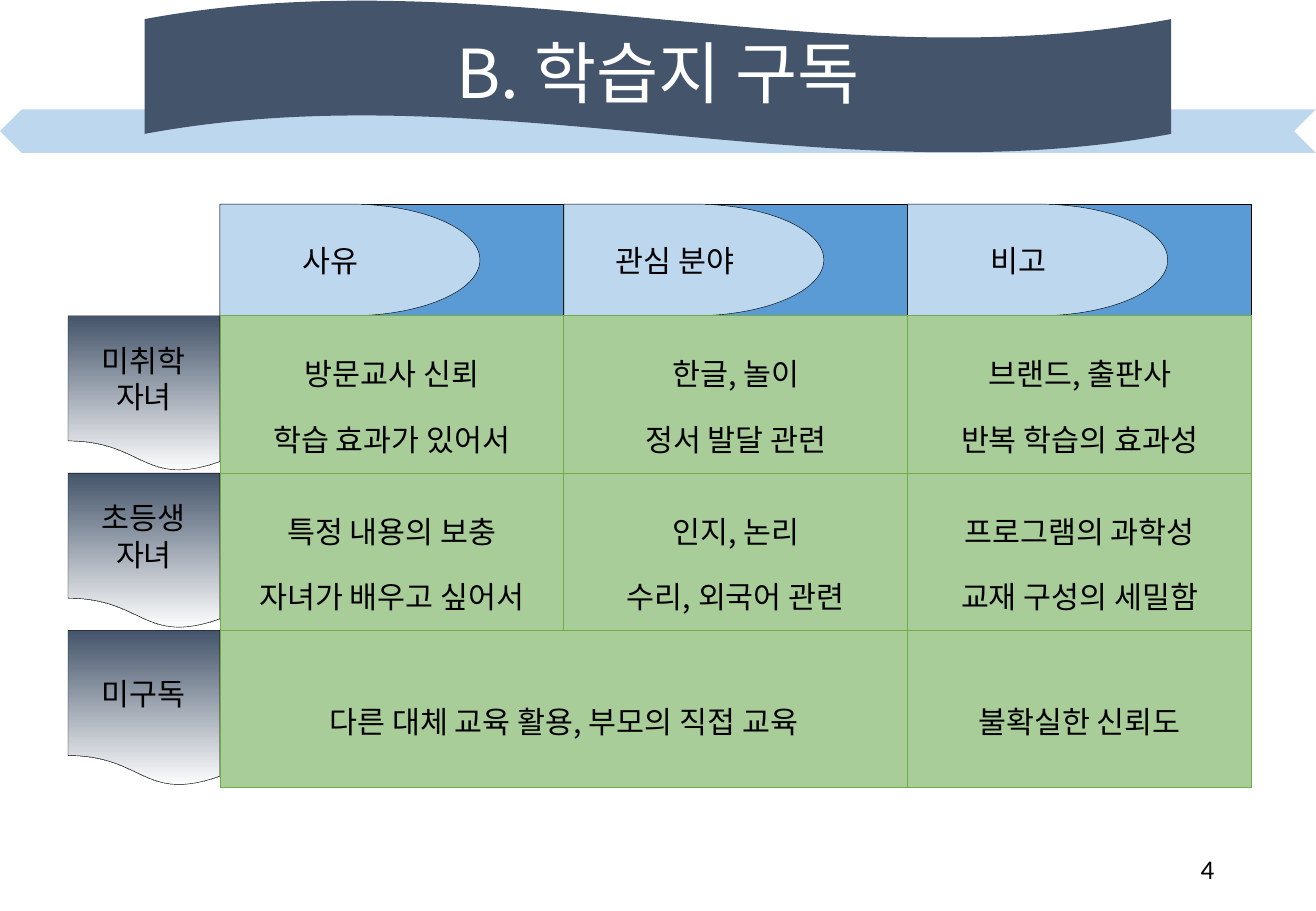
from pptx import Presentation
from pptx.dml.color import RGBColor
from pptx.enum.shapes import MSO_SHAPE
from pptx.enum.text import MSO_ANCHOR, PP_ALIGN
from pptx.oxml import parse_xml
from pptx.oxml.ns import nsdecls, qn
from pptx.util import Inches, Pt

WIDTH, HEIGHT = 10.83, 7.5
KOREAN, LATIN = "Noto Sans CJK KR", "Calibri"
NAVY, BLUE, PALE, BLACK, WHITE = "44546A", "5B9BD5", "BDD7EE", "000000", "FFFFFF"
GREEN, GREEN_LINE = "A9CD99", "70AD47"

# Grid of the table: header above, row labels to the left
LEFT, TOP = 1.81, 2.6
COL, ROW = 2.83, 1.295
HEADER_H, LABEL_W = 0.92, 1.25
BANNER_H = 1.26

HEADERS = ["사유", "관심 분야", "비고"]
LABELS = ["미취학\n자녀", "초등생\n자녀", "미구독"]
CELLS = [
    ["방문교사 신뢰\n학습 효과가 있어서", "한글, 놀이\n정서 발달 관련", "브랜드, 출판사\n반복 학습의 효과성"],
    ["특정 내용의 보충\n자녀가 배우고 싶어서", "인지, 논리\n수리, 외국어 관련", "프로그램의 과학성\n교재 구성의 세밀함"],
    ["다른 대체 교육 활용, 부모의 직접 교육", None, "불확실한 신뢰도"],
]


def rgb(value):
    return RGBColor.from_string(value)


def box(x, y, w, h):
    return [Inches(v) for v in (x, y, w, h)]


def write(tf, text, size=18, color=BLACK, font=KOREAN, align=PP_ALIGN.CENTER, spacing=1.0):
    tf.text = text
    tf.word_wrap = True
    for p in tf.paragraphs:
        p.alignment = align
        p.line_spacing = spacing
        for r in p.runs:
            r.font.size = Pt(size)
            r.font.name = font
            r.font.color.rgb = rgb(color)
            r._r.get_or_add_rPr().append(
                parse_xml(f'<a:ea {nsdecls("a")} typeface="{font}"/>'))


def add_text(slide, area, text, **style):
    tf = slide.shapes.add_textbox(*box(*area)).text_frame
    write(tf, text, **style)
    tf.vertical_anchor = MSO_ANCHOR.MIDDLE


def add_block(slide, kind, area, fill, outlined=True, flip=False, text=None):
    """Preset shape; a pair of colours as fill gives a vertical gradient."""
    s = slide.shapes.add_shape(kind, *box(*area))
    s.shadow.inherit = False
    if isinstance(fill, tuple):
        s.fill.gradient()
        s.fill.gradient_angle = 270
        for stop, color in zip(s.fill.gradient_stops, fill):
            stop.color.rgb = rgb(color)
    else:
        s.fill.solid()
        s.fill.fore_color.rgb = rgb(fill)
    if outlined:
        s.line.color.rgb = rgb(BLACK)
        s.line.width = Pt(0.25)
    else:
        s.line.fill.background()
    if flip:
        s._element.spPr.find(qn("a:xfrm")).set("flipH", "1")
    if text:
        write(s.text_frame, text)
        s.text_frame.vertical_anchor = MSO_ANCHOR.MIDDLE


def style_cell(cell):
    tcPr = cell._tc.get_or_add_tcPr()
    for side in ("lnL", "lnR", "lnT", "lnB"):
        tcPr.append(parse_xml(
            f'<a:{side} {nsdecls("a")} w="{Pt(0.5)}"><a:solidFill>'
            f'<a:srgbClr val="{GREEN_LINE}"/></a:solidFill></a:{side}>'))
    cell.fill.solid()
    cell.fill.fore_color.rgb = rgb(GREEN)
    cell.vertical_anchor = MSO_ANCHOR.MIDDLE


def add_grid(slide):
    rows, cols = len(CELLS), len(HEADERS)
    table = slide.shapes.add_table(
        rows, cols, *box(LEFT, TOP, cols * COL, rows * ROW)).table
    for i, row in enumerate(CELLS):
        for j, text in enumerate(row):
            cell = table.cell(i, j)
            style_cell(cell)
            if text:
                write(cell.text_frame, text, spacing=1.5)
    table.cell(2, 0).merge(table.cell(2, 1))


def main():
    prs = Presentation()
    prs.slide_width, prs.slide_height = Inches(WIDTH), Inches(HEIGHT)
    slide = prs.slides.add_slide(prs.slide_layouts[6])

    # Title banner
    add_block(slide, MSO_SHAPE.CHEVRON, (0, 0.9, WIDTH, 0.36), PALE,
              outlined=False, flip=True)
    add_block(slide, MSO_SHAPE.WAVE, (WIDTH * 0.11, 0, WIDTH * 0.78, BANNER_H), NAVY,
              outlined=False)
    add_text(slide, (0, 0, WIDTH, BANNER_H), "B. 학습지 구독",
             size=40, color=WHITE, spacing=0.9)

    # Column headers
    for i, text in enumerate(HEADERS):
        x, y = LEFT + i * COL, TOP - HEADER_H
        add_block(slide, MSO_SHAPE.RECTANGLE, (x, y, COL, HEADER_H), BLUE)
        add_block(slide, MSO_SHAPE.FLOWCHART_DELAY, (x, y, 2.14, HEADER_H), PALE, text=text)

    # Row labels
    for i, text in enumerate(LABELS):
        add_block(slide, MSO_SHAPE.FLOWCHART_DOCUMENT,
                  (LEFT - LABEL_W, TOP + i * ROW, LABEL_W, ROW - 0.01),
                  (NAVY, WHITE), flip=True, text=text)

    add_grid(slide)

    # Page number
    add_text(slide, (7.65, 6.95, 2.44, 0.4), "4",
             size=16, font=LATIN, align=PP_ALIGN.RIGHT)

    prs.save("out.pptx")


if __name__ == "__main__":
    main()
